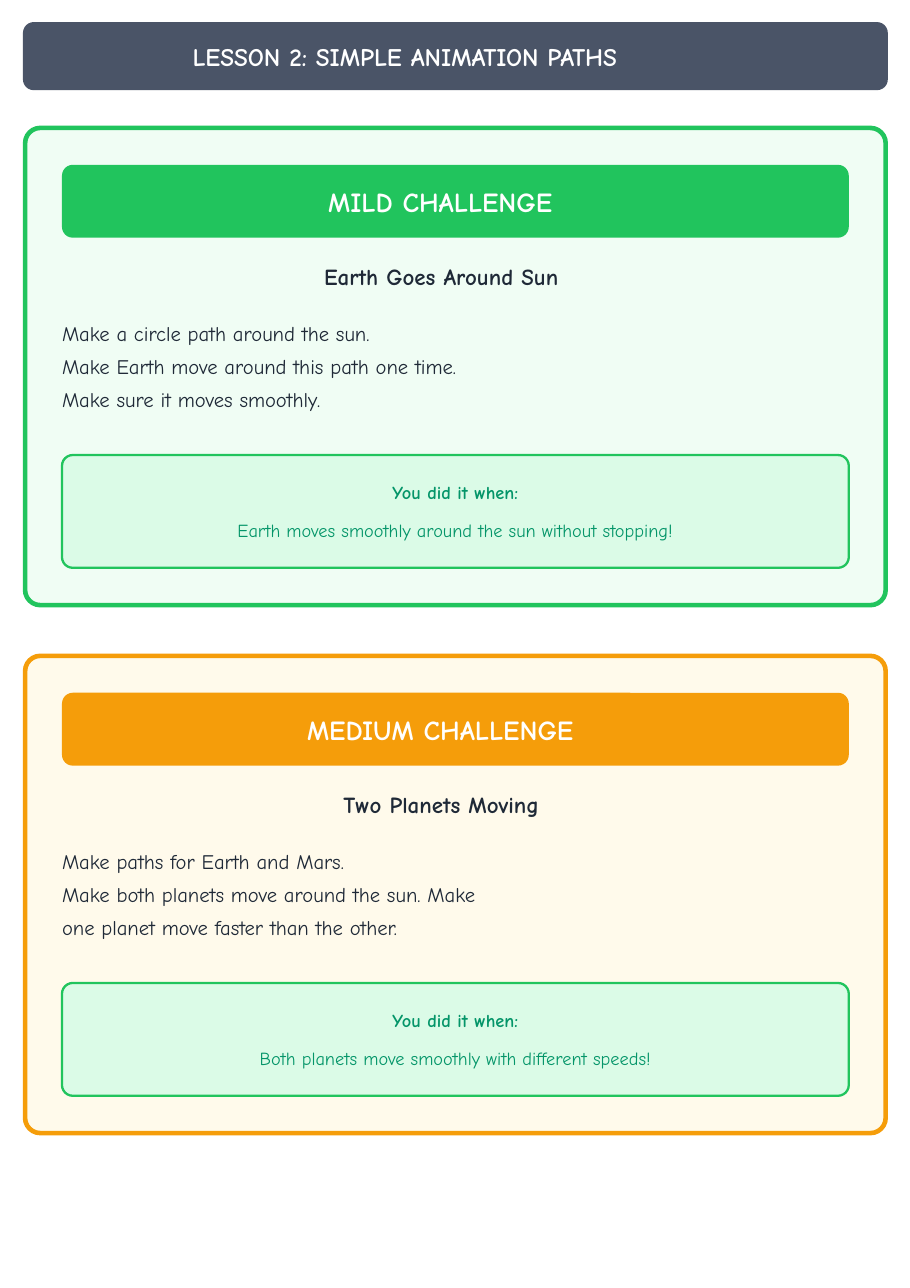
from dataclasses import dataclass

from pptx import Presentation
from pptx import util as u
from pptx.dml.color import RGBColor
from pptx.enum import shapes, text
from pptx.oxml.ns import qn


@dataclass(frozen=True)
class Theme:
    """Colours, font and type sizes of the worksheet."""
    font: str = "Comic Neue"
    white: str = "FFFFFF"
    slate: str = "4A5467"
    ink: str = "1F2937"
    green: str = "21C45D"
    green_pale: str = "F0FDF4"
    amber: str = "F59D0A"
    amber_pale: str = "FFFAEB"
    check_fill: str = "DBFBE7"
    check_ink: str = "049569"
    title: float = 16.5
    ribbon: float = 18
    heading: float = 15
    task: float = 13.5
    check: float = 12


T = Theme()
LEFT, CENTER = text.PP_ALIGN.LEFT, text.PP_ALIGN.CENTER
CARD_X, CARD_TOP, CARD_W, CARD_H, CARD_PITCH = 0.58, 2.95, 19.84, 11, 12.17
INSET = 0.85

CHALLENGES = [
    dict(name="MILD CHALLENGE", heading="Earth Goes Around Sun",
         tasks=["Make a circle path around the sun.",
                "Make Earth move around this path one time.",
                "Make sure it moves smoothly."],
         goal="Earth moves smoothly around the sun without stopping!",
         color=T.green, pale=T.green_pale),
    dict(name="MEDIUM CHALLENGE", heading="Two Planets Moving",
         tasks=["Make paths for Earth and Mars.",
                "Make both planets move around the sun. "
                "Make one planet move faster than the other."],
         goal="Both planets move smoothly with different speeds!",
         color=T.amber, pale=T.amber_pale),
]


def set_all(obj, **values):
    """Set each named attribute on an object."""
    for name, value in values.items():
        setattr(obj, name, value)


def place(sp, x, y, w, h):
    """Move and size a shape, in centimetres."""
    set_all(sp, left=u.Cm(x), top=u.Cm(y), width=u.Cm(w), height=u.Cm(h))


def panel(s, box, radius, fill, line=None, weight=0):
    """Add a rounded panel with an optional outline."""
    sp = s.shapes.add_shape(shapes.MSO_SHAPE.ROUNDED_RECTANGLE, *map(u.Cm, box))
    sp.adjustments[0] = radius / min(box[2:])
    sp.shadow.inherit = False
    sp.fill.solid()
    sp.fill.fore_color.rgb = RGBColor.from_string(fill)
    if line:
        sp.line.color.rgb = RGBColor.from_string(line)
        sp.line.width = u.Pt(weight)
    else:
        sp.line.fill.background()
    return sp


def write(sp, lines, size, color, align=CENTER, bold=True,
          anchor=text.MSO_ANCHOR.MIDDLE, right=0):
    """Write lines of text into a shape and return its paragraphs."""
    tf = sp.text_frame
    set_all(tf, word_wrap=True, auto_size=text.MSO_AUTO_SIZE.NONE,
            vertical_anchor=anchor, margin_left=0, margin_top=0,
            margin_bottom=0, margin_right=u.Cm(right))
    for i, line in enumerate(lines):
        p = tf.add_paragraph() if i else tf.paragraphs[0]
        set_all(p, alignment=align, space_before=u.Pt(0), line_spacing=1.0)
        r = p.add_run()
        r.text = line
        set_all(r.font, name=T.font, size=u.Pt(size), bold=bold)
        r.font.color.rgb = RGBColor.from_string(color)
    return tf.paragraphs


def banner(s, title, x, y, w, h):
    """Draw the lesson banner with the slide title on it."""
    panel(s, (x, y, w, h), 0.25, T.slate)
    sp = s.shapes.title
    s.shapes._spTree.append(sp._element)
    place(sp, x + 3.91, y, 12.2, h)
    write(sp, [title], T.title, T.white, LEFT)


def task_list(s, sp, tasks, x, y):
    """Fill a body placeholder with the plain list of tasks."""
    s.shapes._spTree.append(sp._element)
    place(sp, x, y, 10, 2.3)
    paragraphs = write(sp, tasks, T.task, T.ink, LEFT, False,
                       text.MSO_ANCHOR.TOP)
    for i, p in enumerate(paragraphs):
        pPr = p._p.get_or_add_pPr()
        pPr.set("marL", "0")
        pPr.set("indent", "0")
        pPr.append(pPr.makeelement(qn("a:buNone"), {}))
        if i:
            p.line_spacing = 1.34


def check_box(s, goal, x, y, w, h):
    """Draw the box that tells when the challenge is done."""
    sp = panel(s, (x, y, w, h), 0.25, T.check_fill, T.green, 1.5)
    lead, result = write(sp, ["You did it when:", goal], T.check, T.check_ink)
    result.space_before = u.Pt(10.3)
    result.runs[0].font.bold = False


def challenge_card(s, body, c, x, y, w, h):
    """Draw one challenge card in the given box."""
    left, inner = x + INSET, w - 2 * INSET
    panel(s, (x, y, w, h), 0.35, c["pale"], c["color"], 3)
    ribbon = panel(s, (left, y + INSET, inner, 1.68), 0.25, c["color"])
    write(ribbon, [c["name"]], T.ribbon, T.white, right=0.7)
    heading = s.shapes.add_textbox(*map(u.Cm, (left, y + 3.11, inner, 0.65)))
    write(heading, [c["heading"]], T.heading, T.ink,
          anchor=text.MSO_ANCHOR.TOP, right=0.65)
    task_list(s, body, c["tasks"], left, y + 4.44)
    check_box(s, c["goal"], left, y + 7.54, inner, 2.6)


def main():
    """Build the worksheet and save it."""
    prs = Presentation()
    set_all(prs, slide_width=u.Cm(20.98), slide_height=u.Cm(29.69))
    s = prs.slides.add_slide(prs.slide_layouts[3])
    bodies = list(s.placeholders)[1:]
    banner(s, "LESSON 2: SIMPLE ANIMATION PATHS", 0.53, 0.51, 19.94, 1.57)
    for i, (body, c) in enumerate(zip(bodies, CHALLENGES)):
        challenge_card(s, body, c, CARD_X, CARD_TOP + i * CARD_PITCH,
                       CARD_W, CARD_H)
    prs.save("out.pptx")


if __name__ == "__main__":
    main()
